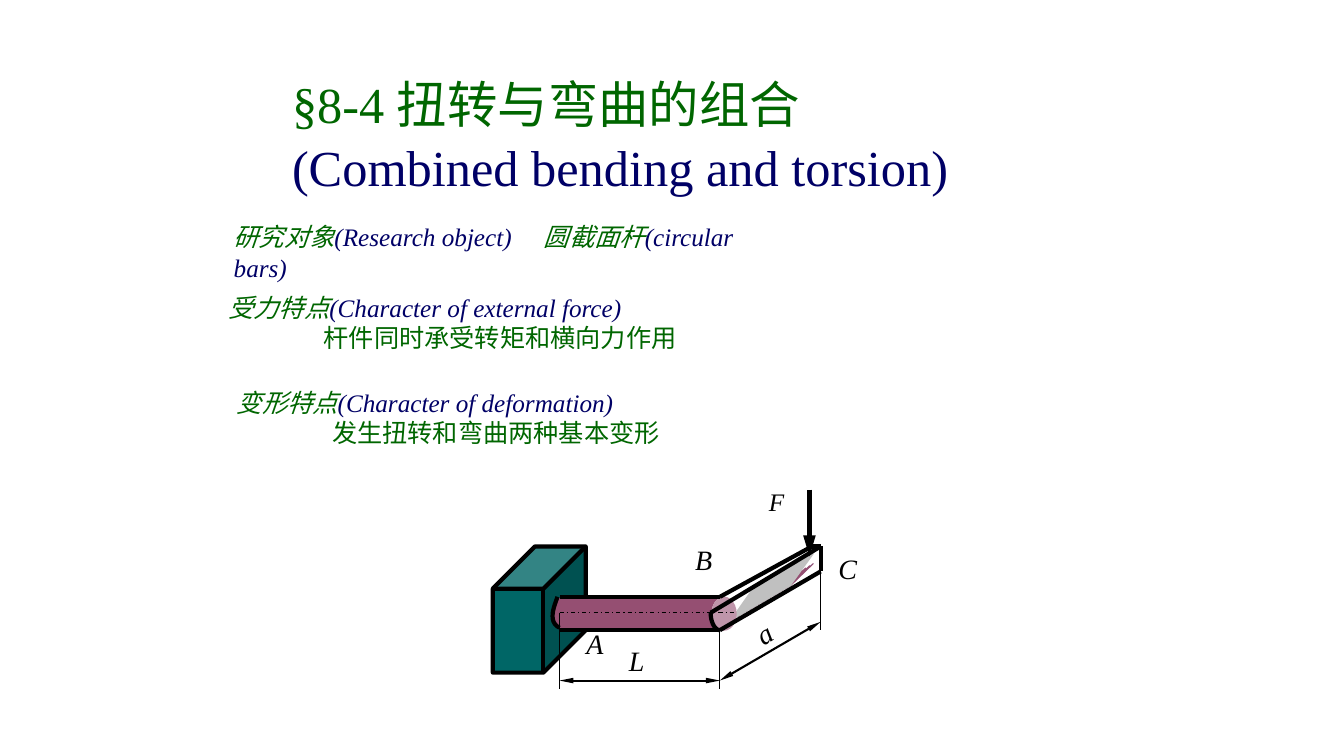
from lxml import etree
from pptx import Presentation
from pptx.dml.color import RGBColor
from pptx.enum.dml import MSO_LINE_DASH_STYLE as DASH
from pptx.enum.shapes import MSO_CONNECTOR, MSO_SHAPE
from pptx.oxml.ns import qn
from pptx.util import Cm, Pt

COLORS = {"green": "006600", "navy": "000066", "black": "000000",
          "wall": "006666", "bar": "954F72", "blue": "4472C4", "silver": "C0C0C0"}
LATIN, CJK = "Times New Roman", "Noto Sans CJK SC"

# Stations of the drawing, in cm: A is the wall, B the bend, C the loaded end
X_A, X_B, X_C = 14.1, 18.14, 20.68
Y_TOP, Y_AXIS, Y_BOTTOM = 15.04, 15.44, 15.88   # bar AB
Y_C_TOP, Y_C_BOTTOM = 13.77, 14.4               # end face at C
X_C_BACK, X_LID = 20.46, 17.91                  # back edge at C, left rim at B
X_FORCE, Y_FORCE = 20.4, 12.34
Y_DIM, Y_DIM_END = 17.15, 17.35                 # dimension line, extension ends


def rgb(name):
    return RGBColor.from_string(COLORS[name])


def paint(sp, fill=None, line=None, width=0.75):
    sp.shadow.inherit = False
    if fill:
        sp.fill.solid()
        sp.fill.fore_color.rgb = rgb(fill)
    else:
        sp.fill.background()
    if line:
        sp.line.color.rgb = rgb(line)
        sp.line.width = Pt(width)
    else:
        sp.line.fill.background()


def add_preset(s, kind, box, adjustment, **style):
    sp = s.shapes.add_shape(kind, *map(Cm, box))
    sp.adjustments[0] = adjustment
    paint(sp, **style)
    return sp


def add_path(s, points, **style):
    pts = [(Cm(x), Cm(y)) for x, y in points]
    builder = s.shapes.build_freeform(*pts[0])
    builder.add_line_segments(pts[1:], close=False)
    paint(builder.convert_to_shape(), **style)


def between(start, end, t):
    """Point at the fraction t of the way from start to end."""
    return tuple(a + (b - a) * t for a, b in zip(start, end))


def bezier(*controls, steps=12):
    """Points along the curve, by repeated interpolation of its controls."""
    def at(t):
        pts = controls
        while len(pts) > 1:
            pts = [between(a, b, t) for a, b in zip(pts, pts[1:])]
        return pts[0]
    return [at(n / steps) for n in range(steps + 1)]


def hatch(lower, upper, strokes, lean=0.3):
    """Zigzag between two edges, its strokes leaning along them."""
    points = []
    for n in range(strokes):
        t = (1 - lean) * n / (strokes - 1)
        points += [between(*lower, t), between(*upper, t + lean)]
    return points


def add_line(s, start, end, width=3, dash=None, arrows=(), arrow_width="med"):
    """Straight line; arrows names the ends that carry a triangle."""
    c = s.shapes.add_connector(MSO_CONNECTOR.STRAIGHT, *map(Cm, start + end))
    c.line.color.rgb = rgb("black")
    c.line.width = Pt(width)
    if dash:
        c.line.dash_style = dash
    ln = c.line._get_or_add_ln()
    for tag in arrows:
        etree.SubElement(ln, qn("a:" + tag), type="triangle", w=arrow_width, len="lg")
    etree.SubElement(c._element.spPr, qn("a:effectLst"))


def add_text(s, box, paragraphs, size, indents=(), tab=None, before=0):
    """Text box; each paragraph is a list of (text, color, italic) runs."""
    tb = s.shapes.add_textbox(*map(Cm, box))
    tf = tb.text_frame
    tf.word_wrap = True
    for i, runs in enumerate(paragraphs):
        p = tf.paragraphs[0] if i == 0 else tf.add_paragraph()
        pPr = p._p.get_or_add_pPr()
        if indents:
            pPr.set("marL", str(Cm(indents[i])))
            pPr.set("indent", "0")
        if i and before:
            p.space_before = Pt(before)
        if tab:
            tabs = etree.SubElement(pPr, qn("a:tabLst"))
            etree.SubElement(tabs, qn("a:tab"), pos=str(Cm(tab)), algn="l")
        for text, color, italic in runs:
            r = p.add_run()
            r.text = text
            r.font.size = Pt(size)
            r.font.name = LATIN
            r.font.italic = italic
            r.font.color.rgb = rgb(color)
            etree.SubElement(r._r.get_or_add_rPr(), qn("a:ea"), typeface=CJK)
    return tb


def add_feature(s, box, chinese, english, detail):
    """Bilingual heading with an indented line of detail below."""
    add_text(s, box, [[(chinese, "green", True), (english, "navy", True)],
                      [(detail, "green", False)]], 18, indents=(0, 2.4))


def draw_hatching(s):
    """Shade the arm BC: dark strokes first, silver ones over them."""
    lower = ((18.4, 15.65), (20.55, 14.4))
    middle = ((18.4, 15.45), (20.5, 14.2))
    upper = ((18.4, 15.1), (20.5, 13.95))
    add_path(s, hatch(lower, middle, 16), fill="blue", line="bar")
    add_path(s, hatch(lower, upper, 36), line="silver")


def draw_cantilever(s):
    add_preset(s, MSO_SHAPE.CUBE, (12.42, Y_C_TOP, 2.34, 3.18), 0.455,
               fill="wall", line="black", width=3)
    bar = add_preset(s, MSO_SHAPE.CAN, (15.8, 13.13, 0.86, 4.67), 0.743, fill="bar")
    bar.rotation = 90
    add_line(s, (X_A, Y_AXIS), (18.57, Y_AXIS), 0.75, DASH.DASH_DOT)

    for y in (Y_TOP, Y_BOTTOM):
        add_line(s, (X_A, y), (X_B, y))
    arm_edges = [((X_B, Y_TOP), (X_C_BACK, Y_C_TOP)),
                 ((X_LID, Y_AXIS), (X_C, Y_C_TOP)),
                 ((X_B, Y_BOTTOM), (X_C, Y_C_BOTTOM))]
    end_edges = [((X_C_BACK, Y_C_TOP), (X_C, Y_C_TOP)),
                 ((X_C, Y_C_TOP), (X_C, Y_C_BOTTOM))]
    for start, end in arm_edges + end_edges:
        add_line(s, start, end)

    rim_at_wall = bezier((14.05, Y_TOP), (13.97, 15.27), (13.79, 15.67), (X_A, 15.82))
    rim_at_bend = bezier((X_B, Y_BOTTOM), (18.03, Y_BOTTOM), (X_LID, 15.7),
                         (X_LID, Y_AXIS))
    for rim in (rim_at_wall, rim_at_bend):
        add_path(s, rim, line="black", width=3)


def draw_dimensions(s):
    extensions = ((X_A, Y_AXIS, Y_DIM_END), (X_B, Y_BOTTOM, Y_DIM_END),
                  (X_C, 13.97, Y_BOTTOM))
    for x, top, bottom in extensions:
        add_line(s, (x, top), (x, bottom), 0.75)
    for start in ((X_A, Y_DIM), (X_C, 15.67)):
        add_line(s, start, (X_B, Y_DIM), 1.5, arrows=("headEnd", "tailEnd"),
                 arrow_width="sm")


def draw_force(s):
    add_line(s, (X_FORCE, Y_FORCE), (X_FORCE, 14.02), arrows=("tailEnd",))


def add_labels(s):
    labels = (("L", 15.6, 16.08, 20, 0), ("a", 18.77, 15.24, 20, 328.2),
              ("A", 14.53, 15.67, 20, 0), ("B", 17.27, 13.54, 20, 0),
              ("C", 20.88, 13.77, 20, 0), ("F", 19.13, 12.12, 18, 0))
    for text, left, top, size, angle in labels:
        tb = add_text(s, (left, top, 1.47, 1.09), [[(text, "black", True)]], size)
        tb.rotation = angle


def main():
    prs = Presentation()
    prs.slide_width, prs.slide_height = Cm(33.87), Cm(19.05)
    s = prs.slides.add_slide(prs.slide_layouts[6])
    for draw in (draw_hatching, draw_cantilever, draw_dimensions, draw_force, add_labels):
        draw(s)
    add_text(s, (5.64, 5.46, 14.4, 1.02),
             [[("研究对象", "green", True), ("(Research object)\t", "navy", True),
               ("圆截面杆", "green", True), ("(circular bars)", "navy", True)]],
             18, tab=7.82)
    add_feature(s, (5.51, 7.24, 12.22, 1.8), "受力特点",
                "(Character of external force)", "杆件同时承受转矩和横向力作用")
    add_feature(s, (5.72, 9.64, 11.58, 1.8), "变形特点",
                "(Character of deformation)", "发生扭转和弯曲两种基本变形")
    add_text(s, (7.11, 1.73, 25.83, 3.38),
             [[("§8-4 ", "green", False), ("扭转与弯曲的组合", "green", False)],
              [("(Combined bending and torsion)", "navy", False)]], 36, before=1.8)
    prs.save("out.pptx")


if __name__ == "__main__":
    main()
